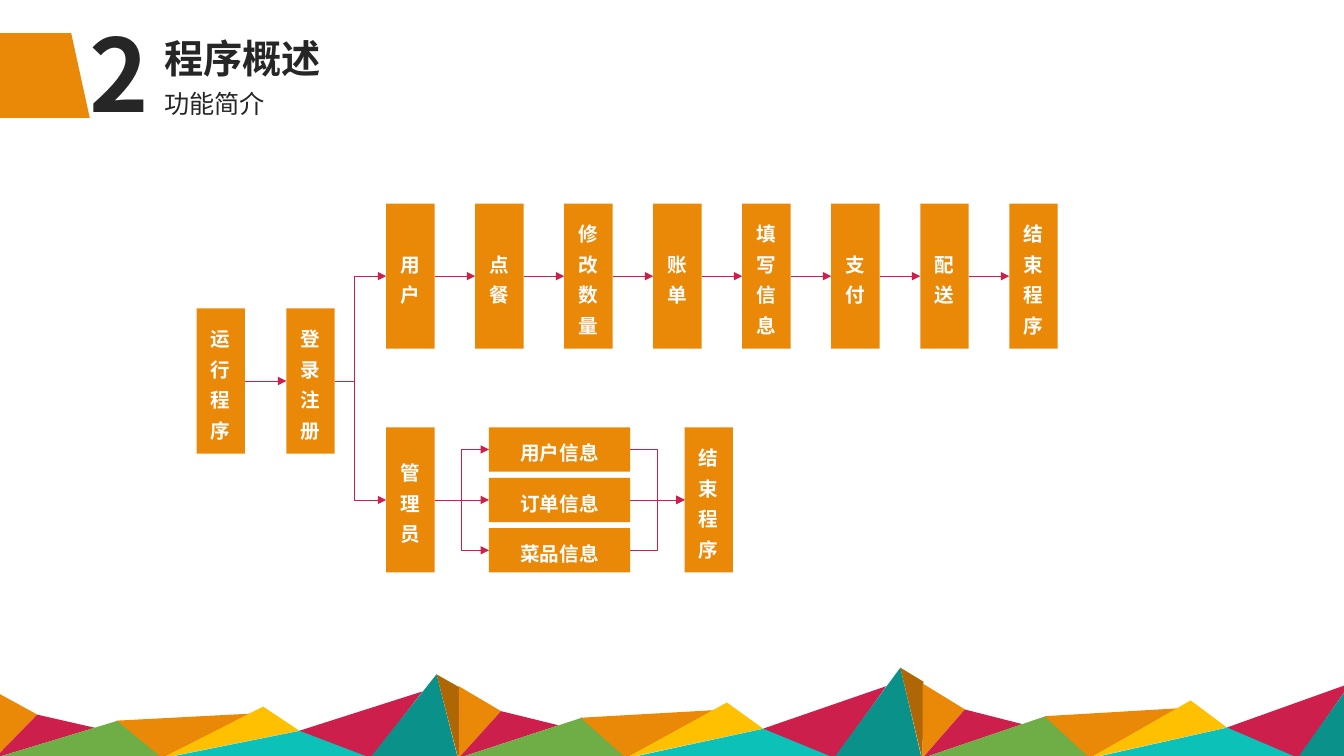
from lxml import etree
from pptx import Presentation
from pptx.dml.color import RGBColor
from pptx.enum.shapes import MSO_CONNECTOR as CXN, MSO_SHAPE as SHAPE
from pptx.enum.text import MSO_ANCHOR as ANCHOR, MSO_AUTO_SIZE as AUTO, PP_ALIGN as ALIGN
from pptx.oxml.ns import qn
from pptx.util import Inches, Pt

FONT = "Noto Sans CJK SC"
ORANGE, RED, GREEN, YELLOW = "EA8807", "CC1F4C", "6FAD46", "FEC001"
AQUA, TEAL, BROWN, DARK = "0CC1B8", "09918A", "AF6605", "262626"


def rgb(value):
    return RGBColor.from_string(value)


def write(sp, text, size, color, bold=False, align=ALIGN.LEFT, spacing=0.9):
    tf = sp.text_frame
    tf.word_wrap = True
    tf.auto_size = AUTO.NONE
    tf.vertical_anchor = ANCHOR.MIDDLE
    p = tf.paragraphs[0]
    p.alignment = align
    p.line_spacing = spacing
    p.space_before = Pt(0)
    r = p.add_run()
    r.text = text
    r.font.size, r.font.bold = Pt(size), bold
    r.font.name = FONT
    r.font.color.rgb = rgb(color)
    etree.SubElement(r.font._element, qn("a:ea")).set("typeface", FONT)


prs = Presentation()
prs.slide_width, prs.slide_height = Inches(13.33), Inches(7.5)
s = prs.slides.add_slide(prs.slide_layouts[3])
shapes = s.shapes

# Mountain band: one range of facets (x, height), repeated with growing height
BASE, PERIOD = 7.52, 4.6
facets = [
    (ORANGE, [(0, 0), (0, 0.66), (0.42, 0.43)]),
    (RED, [(0, 0), (0.42, 0.43), (0.99, 0.3)]),
    (GREEN, [(0, 0), (1.22, 0.37), (1.68, 0)]),
    (ORANGE, [(1.21, 0.37), (2.54, 0.44), (1.66, 0)]),
    (YELLOW, [(3.02, 0.27), (1.66, 0), (2.66, 0.51)]),
    (AQUA, [(3.75, 0), (1.68, 0), (3.03, 0.27)]),
    (RED, [(3.73, 0), (3.02, 0.27), (4.24, 0.66)]),
    (TEAL, [(4.59, 0), (3.72, 0), (4.38, 0.83)]),
    (BROWN, [(4.61, 0.7), (4.6, -0.02), (4.38, 0.83)]),
]
for n, rise in enumerate([1, 1.08, 1.12]):
    for color, points in facets:
        xy = [(Inches(-0.05 + n * PERIOD + x), Inches(BASE - h * rise)) for x, h in points]
        if min(x for x, y in xy) > prs.slide_width:
            continue
        outline = shapes.build_freeform(*xy[0])
        outline.add_line_segments(xy[1:], close=True)
        sp = outline.convert_to_shape()
        sp.shadow.inherit = False
        sp.fill.solid()
        sp.fill.fore_color.rgb = rgb(color)
        sp.line.fill.background()

# Header tab
tab = shapes.add_shape(SHAPE.FLOWCHART_MANUAL_INPUT,
                       Inches(0.01), Inches(0.29), Inches(0.84), Inches(0.92))
tab.rotation = 90
tab.shadow.inherit = False
tab.fill.solid()
tab.fill.fore_color.rgb = rgb(ORANGE)
tab.line.fill.background()

# Section number, title and subtitle
title, number, subtitle = s.placeholders
for sp, text, size, bold, area in [
    (title, "程序概述", 28, True, (1.53, 0.35, 3.45, 0.51)),
    (number, "2", 72, True, (0.79, 0.25, 0.74, 0.99)),
    (subtitle, "功能简介", 18, False, (1.53, 0.86, 3.45, 0.38)),
]:
    sp.left, sp.top, sp.width, sp.height = map(Inches, area)
    pPr = sp.text_frame.paragraphs[0]._p.get_or_add_pPr()
    pPr.set("marL", "0")
    pPr.set("indent", "0")
    etree.SubElement(pPr, qn("a:buNone"))
    write(sp, text, size, DARK, bold)
number.text_frame.margin_top, number.text_frame.margin_bottom = Inches(0.1), 0

# Flow boxes: key, label, left, top, width, height
TALL, WIDE = (0.48, 1.44), (1.4, 0.44)
USER_X, USER_Y, ADMIN_Y = 3.83, 2.02, 4.24
STEP = (10.01 - USER_X) / 7
user_steps = ["用户", "点餐", "修改数量", "账单", "填写信息", "支付", "配送", "结束程序"]
records = ["用户信息", "订单信息", "菜品信息"]
layout = [("run", "运行程序", 1.95, 3.06, *TALL),
          ("login", "登录注册", 2.84, 3.06, *TALL),
          ("admin", "管理员", USER_X, ADMIN_Y, *TALL),
          ("end", "结束程序", 6.79, ADMIN_Y, *TALL)]
layout += [(f"step{i}", label, USER_X + i * STEP, USER_Y, *TALL)
           for i, label in enumerate(user_steps)]
layout += [(f"record{i}", label, 4.85, ADMIN_Y + i * 0.5, *WIDE)
           for i, label in enumerate(records)]
boxes = {}
for key, label, *area in layout:
    sp = boxes[key] = shapes.add_shape(SHAPE.RECTANGLE, *map(Inches, area))
    sp.shadow.inherit = False
    sp.fill.solid()
    sp.fill.fore_color.rgb = rgb(ORANGE)
    sp.line.fill.background()
    write(sp, label, 14, "FFFDFD", True, ALIGN.CENTER, 1.3)

# Arrows from right side to left side
links = [("run", "login"), ("login", "admin"), ("login", "step0")]
links += [(f"step{i}", f"step{i + 1}") for i in range(len(user_steps) - 1)]
for i in range(len(records)):
    links += [("admin", f"record{i}"), (f"record{i}", "end")]
for start, end in links:
    a, b = boxes[start], boxes[end]
    level = abs(a.top + a.height // 2 - b.top - b.height // 2) < Inches(0.01)
    cxn = shapes.add_connector(CXN.STRAIGHT if level else CXN.ELBOW, 0, 0, 0, 0)
    cxn.begin_connect(a, 3)
    cxn.end_connect(b, 1)
    cxn.line.color.rgb = rgb(RED)
    cxn.line.width = Pt(0.5)
    etree.SubElement(cxn.line._get_or_add_ln(), qn("a:tailEnd")).set("type", "triangle")
    etree.SubElement(cxn._element.spPr, qn("a:effectLst"))
    if start == "login":
        bend = etree.SubElement(cxn._element.spPr.find(qn("a:prstGeom")).find(qn("a:avLst")), qn("a:gd"))
        bend.set("name", "adj1")
        bend.set("fmla", "val 38200")

prs.save("out.pptx")
